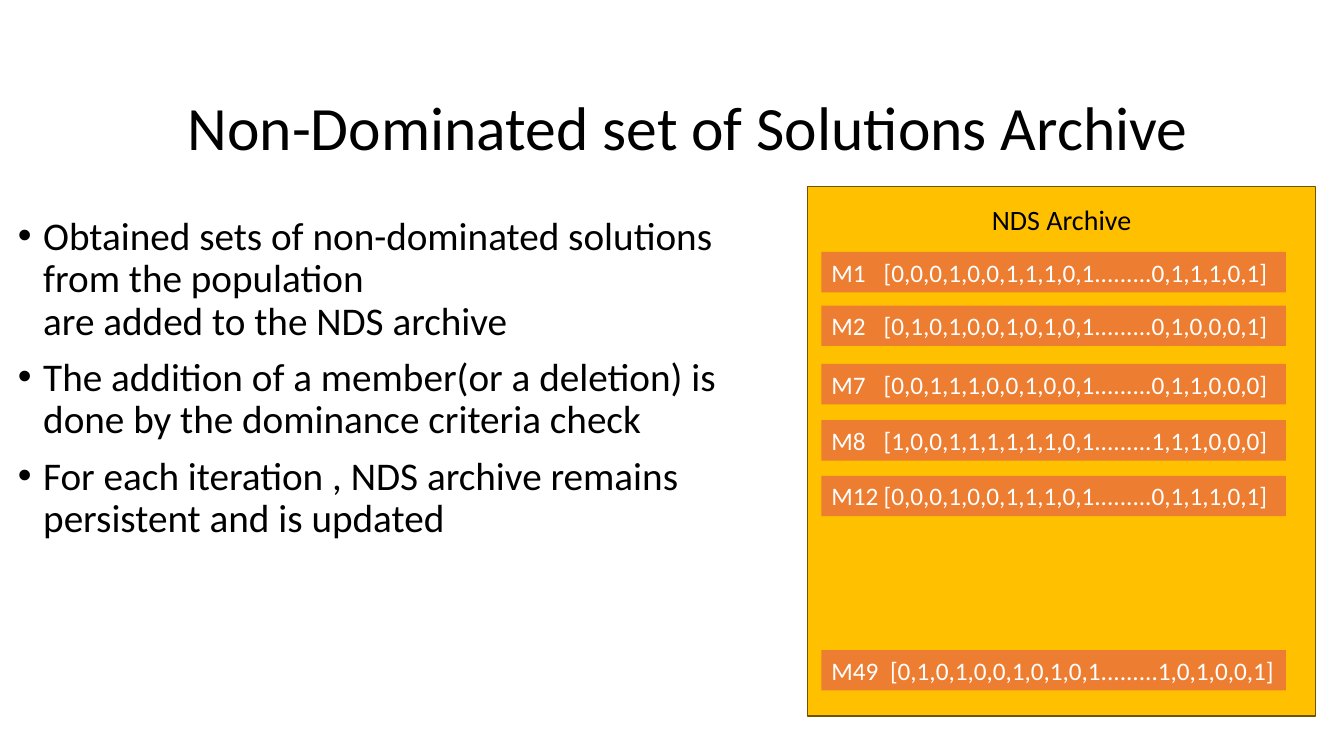
from typing import NamedTuple

from lxml import etree
from pptx import Presentation
from pptx.dml.color import RGBColor
from pptx.enum.shapes import MSO_SHAPE
from pptx.enum.text import MSO_ANCHOR, PP_ALIGN
from pptx.oxml.ns import qn
from pptx.util import Cm, Pt

RECT = MSO_SHAPE.RECTANGLE
TOP, MIDDLE = MSO_ANCHOR.TOP, MSO_ANCHOR.MIDDLE
LEFT, CENTER = PP_ALIGN.LEFT, PP_ALIGN.CENTER
FONT = "Calibri"
COLORS = {
    "text": "000000",
    "light": "FFFFFF",
    "panel": "FFC000",
    "edge": "705400",
    "member": "ED7D31",
}


class Box(NamedTuple):
    left: float
    top: float
    width: float
    height: float


class Member(NamedTuple):
    name: str
    bits: str
    top: float
    tab: float = 1.32


PANEL = Box(20.35, 4.7, 12.8, 13.34)
HEADING = Box(2.74, 1.45, 29.21, 3.68)
LABEL = Box(22.07, 4.01, 9.37, 3.15)
BODY = Box(0.2, 5.33, 19.41, 12.09)
POINTS = [
    "Obtained sets of non-dominated solutions from the population\v"
    "are added to the NDS archive",
    "The addition of a member(or a deletion) is done by the dominance "
    "criteria check",
    "For each iteration , NDS archive remains \vpersistent and is updated",
]
MEMBERS = [
    Member("M1", "[0,0,0,1,0,0,1,1,1,0,1.........0,1,1,1,0,1]", 6.35),
    Member("M2", "[0,1,0,1,0,0,1,0,1,0,1.........0,1,0,0,0,1]", 7.7),
    Member("M7", "[0,0,1,1,1,0,0,1,0,0,1.........0,1,1,0,0,0]", 9.17),
    Member("M8", "[1,0,0,1,1,1,1,1,1,0,1.........1,1,1,0,0,0]", 10.59),
    Member("M12", "[0,0,0,1,0,0,1,1,1,0,1.........0,1,1,1,0,1]", 11.99),
    Member("M49", "[0,1,0,1,0,0,1,0,1,0,1.........1,0,1,0,0,1]", 16.38, 1.48),
]


def color(key: str) -> RGBColor:
    return RGBColor.from_string(COLORS[key])


def place(box: Box) -> list[Cm]:
    return [Cm(side) for side in box]


def style(para, size: int, key: str, align=LEFT) -> None:
    para.alignment = align
    para.font.name = FONT
    para.font.size = Pt(size)
    para.font.color.rgb = color(key)


def add_rect(slide, box: Box, fill: str, edge: str = ""):
    shape = slide.shapes.add_shape(RECT, *place(box))
    shape.shadow.inherit = False
    shape.fill.solid()
    shape.fill.fore_color.rgb = color(fill)
    if edge:
        shape.line.color.rgb = color(edge)
        shape.line.width = Pt(1)
    else:
        shape.line.fill.background()
    return shape


def add_frame(slide, box: Box, anchor):
    frame = slide.shapes.add_textbox(*place(box)).text_frame
    frame.word_wrap = True
    frame.vertical_anchor = anchor
    return frame


def add_title(slide, box: Box, text: str, size: int) -> None:
    para = add_frame(slide, box, MIDDLE).paragraphs[0]
    para.text = text
    para.line_spacing = 0.9
    style(para, size, "text", CENTER)


def add_points(slide, box: Box, points: list[str]) -> None:
    frame = add_frame(slide, box, TOP)
    for index, point in enumerate(points):
        para = frame.add_paragraph() if index else frame.paragraphs[0]
        para.text = point
        para.line_spacing = 0.9
        if index:
            para.space_before = Pt(10)
        props = para._p.get_or_add_pPr()
        props.set("marL", str(Cm(0.64)))
        props.set("indent", str(-Cm(0.64)))
        etree.SubElement(props, qn("a:buFont"), typeface="Arial")
        etree.SubElement(props, qn("a:buChar"), char="•")
        style(para, 28, "text")


def add_member(slide, member: Member) -> None:
    box = Box(20.7, member.top, 11.71, 1.02)
    frame = add_rect(slide, box, "member").text_frame
    frame.word_wrap = True
    frame.vertical_anchor = TOP
    para = frame.paragraphs[0]
    para.text = f"{member.name}\t{member.bits}"
    stops = etree.SubElement(para._p.get_or_add_pPr(), qn("a:tabLst"))
    etree.SubElement(stops, qn("a:tab"), pos=str(Cm(member.tab)), algn="l")
    style(para, 18, "light")


def main() -> None:
    deck = Presentation()
    deck.slide_width, deck.slide_height = Cm(33.87), Cm(19.05)
    slide = deck.slides.add_slide(deck.slide_layouts[6])
    add_points(slide, BODY, POINTS)
    add_rect(slide, PANEL, "panel", "edge")
    for member in MEMBERS:
        add_member(slide, member)
    add_title(slide, HEADING, "Non-Dominated set of Solutions Archive", 44)
    add_title(slide, LABEL, "NDS Archive", 20)
    deck.save("out.pptx")


if __name__ == "__main__":
    main()
